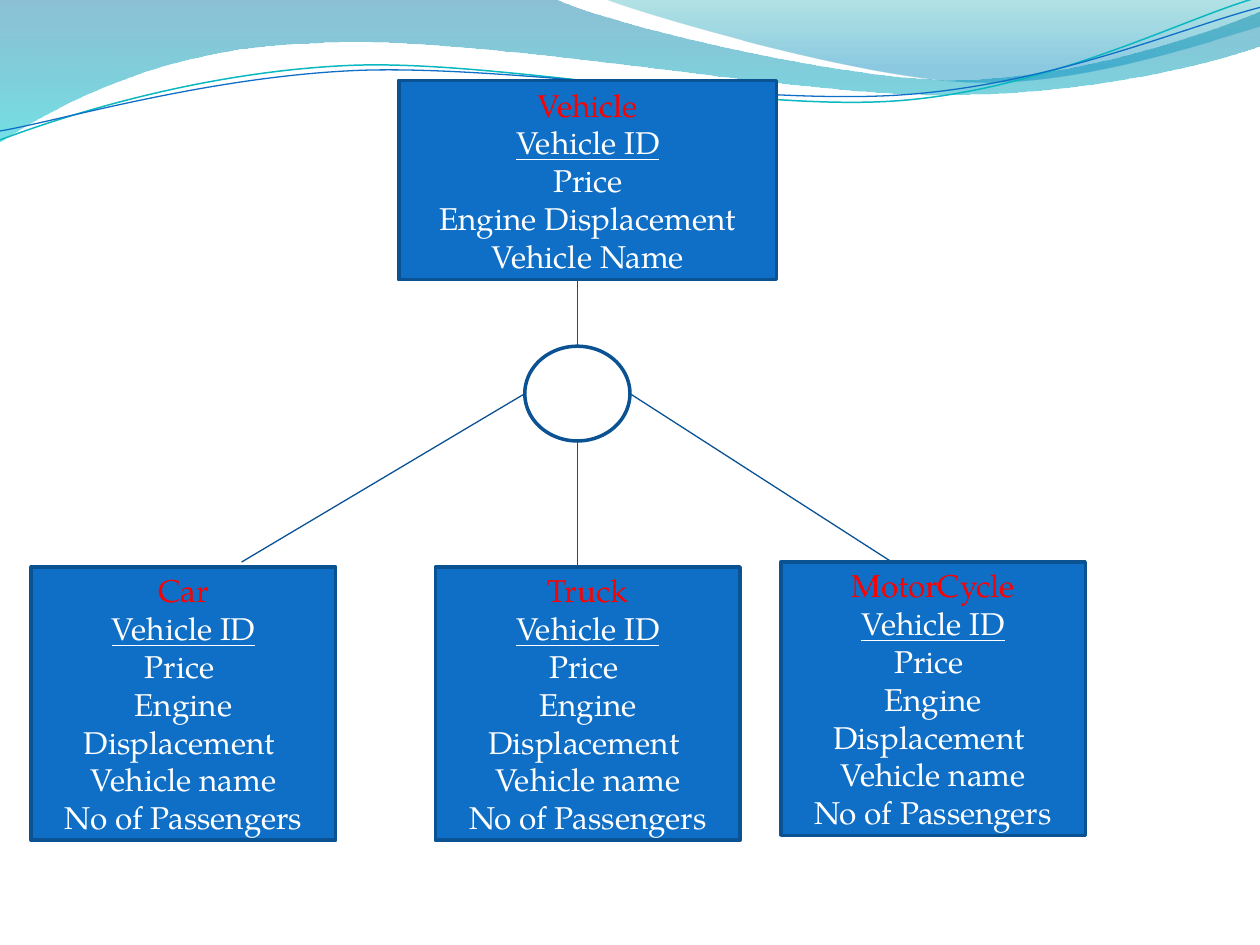
import math

from lxml import etree
from pptx import Presentation
from pptx.dml.color import RGBColor
from pptx.enum.shapes import MSO_CONNECTOR, MSO_SHAPE
from pptx.enum.text import MSO_ANCHOR, PP_ALIGN
from pptx.oxml.ns import qn
from pptx.util import Cm, Pt

STRAIGHT = MSO_CONNECTOR.STRAIGHT
RECTANGLE, OVAL = MSO_SHAPE.RECTANGLE, MSO_SHAPE.OVAL
MIDDLE, CENTER = MSO_ANCHOR.MIDDLE, PP_ALIGN.CENTER

BLUE = RGBColor(0x0F, 0x6F, 0xC6)
BORDER = RGBColor(0x0B, 0x52, 0x92)
LINK = RGBColor(0x09, 0x52, 0x95)
RED = RGBColor(0xFF, 0x00, 0x00)
WHITE = RGBColor(0xFF, 0xFF, 0xFF)
TEAL = RGBColor(0x0A, 0xB8, 0xBF)
BAND_TOP = RGBColor(0x00, 0x74, 0xA1)
BAND_END = RGBColor(0x00, 0xC6, 0xCF)
TIP_TOP = RGBColor(0x00, 0xA1, 0xA9)
TIP_END = RGBColor(0x00, 0x8B, 0xBF)

FONT = "TeX Gyre Pagella"
WAVE_TILT = -2.7
WAVE_PIVOT = (12.68, 1.48)

# Outlines in cm: each step holds one point (straight) or three (cubic curve)
BAND = [[(0, 0)], [(11.18, -0.03)],
        [(12.09, 0.43), (16.87, 1.6), (19.25, 1.6)],
        [(21.67, 1.6), (24.33, 0.66), (25.4, 0.23)], [(25.43, 0.91)],
        [(24.97, 1.12), (22.1, 1.93), (18.95, 1.91)],
        [(15.8, 1.91), (9.7, 0.71), (6.53, 0.86)],
        [(3.28, 0.91), (1.17, 2.11), (-0.03, 2.87)], [(0, 0)]]
TIP = [[(12.17, -0.03)],
       [(12.93, 0.28), (17.32, 1.57), (19.53, 1.65)],
       [(21.74, 1.75), (24.41, 0.81), (25.4, 0.53)],
       [(25.4, 0)], [(12.17, -0.03)]]
TEAL_WAVE = [[(0, 2.82)],
             [(1.22, 2.36), (4.01, 1.45), (7.04, 1.32)],
             [(10.03, 1.19), (15.06, 2.26), (18.11, 2.03)],
             [(21.16, 1.8), (23.83, 0.38), (25.35, -0.05)]]
BLUE_WAVE = [[(0, 2.64)],
             [(1.19, 2.44), (4.17, 1.55), (7.19, 1.42)],
             [(10.24, 1.3), (15.16, 2.13), (18.21, 1.91)],
             [(21.23, 1.7), (23.9, 0.53), (25.4, 0.15)]]

PARENT_FIELDS = ["Vehicle ID", "Price", "Engine Displacement", "Vehicle Name"]
CHILD_FIELDS = ["Vehicle ID", "Price ", "Engine Displacement ",
                "Vehicle name", "No of Passengers"]
CHILDREN = [("Car", 0.63, 11.43), ("Truck", 8.78, 11.43),
            ("MotorCycle", 15.74, 11.33)]


def add_outline(page, outline, close):
    """Build the outline on its anchors, then bend the curved steps."""
    steps = [[(Cm(x), Cm(y)) for x, y in step] for step in outline]
    anchors = [step[-1] for step in steps]
    builder = page.shapes.build_freeform(*anchors[0])
    builder.add_line_segments(anchors[1:], close=close)
    shape = builder.convert_to_shape()
    shape.shadow.inherit = False
    lines = list(shape._element.iter(qn("a:lnTo")))
    for line, step in zip(lines, steps[1:]):
        if len(step) == 3:
            line.tag = qn("a:cubicBezTo")
            for index, (x, y) in enumerate(step[:2]):
                control = etree.Element(qn("a:pt"), x=str(x - shape.left),
                                        y=str(y - shape.top))
                line.insert(index, control)
    return shape


def add_ribbon(page, outline, stops):
    """Filled wave; each stop is (position, colour, opacity in percent)."""
    shape = add_outline(page, outline, True)
    shape.line.fill.background()
    shape.fill.gradient()
    shape.fill.gradient_angle = 270
    for stop, (position, color, _) in zip(shape.fill.gradient_stops, stops):
        stop.position = position
        stop.color.rgb = color
    # Opacity of the stops
    colors = shape._element.spPr.iter(qn("a:srgbClr"))
    for element, (_, _, opacity) in zip(colors, stops):
        etree.SubElement(element, qn("a:alpha")).set("val", str(opacity * 1000))


def level(point):
    """Undo the tilt of the waves for one point."""
    angle = math.radians(-WAVE_TILT)
    across, down = point[0] - WAVE_PIVOT[0], point[1] - WAVE_PIVOT[1]
    return (WAVE_PIVOT[0] + across * math.cos(angle) - down * math.sin(angle),
            WAVE_PIVOT[1] + across * math.sin(angle) + down * math.cos(angle))


def add_wave(page, outline, color, width):
    leveled = [[level(point) for point in step] for step in outline]
    shape = add_outline(page, leveled, False)
    shape.rotation = WAVE_TILT
    shape.fill.background()
    shape.line.color.rgb = color
    shape.line.width = Pt(width)


def add_header(page):
    add_ribbon(page, BAND, [(0, BAND_TOP, 45), (1, BAND_END, 55)])
    add_ribbon(page, TIP, [(0, TIP_TOP, 30), (0.8, TIP_END, 45)])
    add_wave(page, TEAL_WAVE, TEAL, 0.85)
    add_wave(page, BLUE_WAVE, BLUE, 0.75)


def add_bordered(page, kind, left, top, width, height):
    shape = page.shapes.add_shape(kind, left, top, width, height)
    shape.shadow.inherit = False
    shape.line.color.rgb = BORDER
    shape.line.width = Pt(2)
    return shape


def add_entity(page, name, fields, left, top, width, height):
    box = add_bordered(page, RECTANGLE, left, top, width, height)
    box.fill.solid()
    box.fill.fore_color.rgb = BLUE
    frame = box.text_frame
    frame.word_wrap = True
    frame.vertical_anchor = MIDDLE
    for index, text in enumerate([name, *fields]):
        para = frame.paragraphs[0] if index == 0 else frame.add_paragraph()
        para.text = text
        para.alignment = CENTER
        para.font.name = FONT
        para.font.size = Pt(18)
        para.font.color.rgb = RED if index == 0 else WHITE
        para.font.underline = index == 1  # key field


def add_link(page, start, end):
    link = page.shapes.add_connector(STRAIGHT, *start, *end)
    link.line.color.rgb = LINK
    link.line.width = Pt(0.75)
    etree.SubElement(link._element.spPr, qn("a:effectLst"))


def add_hub(page, left, top, width, height):
    """Circle with the links to the parent above and the children below."""
    center, middle = left + width // 2, top + height // 2
    add_link(page, (center, Cm(5.64)), (center, top))
    hub = add_bordered(page, OVAL, left, top, width, height)
    hub.fill.background()
    add_link(page, (left, middle), (Cm(4.87), Cm(11.33)))
    add_link(page, (center, top + height), (center, Cm(11.43)))
    add_link(page, (left + width, middle), (Cm(17.98), Cm(11.33)))


def main():
    deck = Presentation()
    deck.slide_width, deck.slide_height = Cm(25.4), Cm(19.05)
    page = deck.slides.add_slide(deck.slide_layouts[6])
    add_header(page)
    add_entity(page, "Vehicle", PARENT_FIELDS,
               Cm(8.04), Cm(1.62), Cm(7.62), Cm(4.02))
    for name, left, top in CHILDREN:
        add_entity(page, name, CHILD_FIELDS,
                   Cm(left), Cm(top), Cm(6.14), Cm(5.51))
    add_hub(page, Cm(10.58), Cm(6.98), Cm(2.12), Cm(1.91))
    deck.save("out.pptx")


if __name__ == "__main__":
    main()
